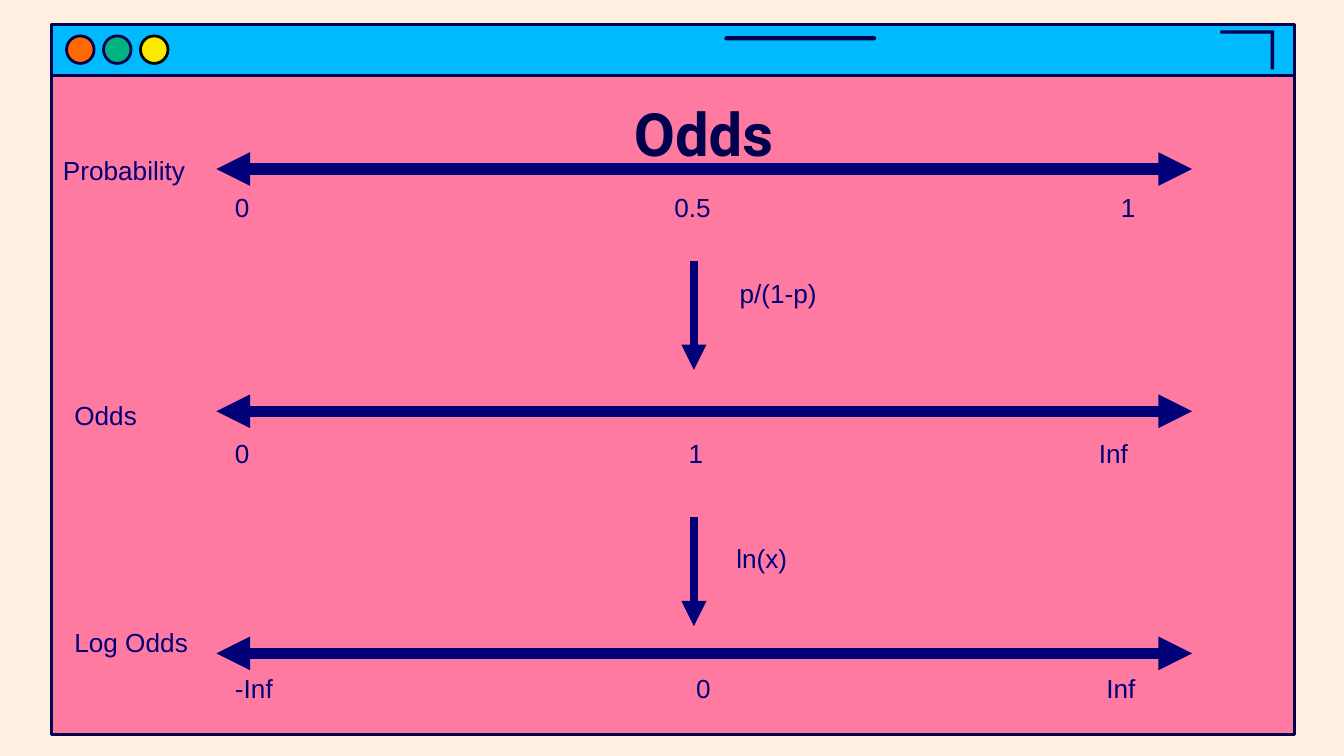
from pptx import Presentation
from pptx.dml.color import RGBColor
from pptx.enum.shapes import MSO_CONNECTOR, MSO_SHAPE
from pptx.enum.text import MSO_ANCHOR, PP_ALIGN
from pptx.oxml.ns import qn
from pptx.util import Inches, Pt
from lxml import etree

RECTANGLE, ROUNDED, OVAL = MSO_SHAPE.RECTANGLE, MSO_SHAPE.ROUNDED_RECTANGLE, MSO_SHAPE.OVAL
STRAIGHT = MSO_CONNECTOR.STRAIGHT
TOP = MSO_ANCHOR.TOP
LEFT, CENTER = PP_ALIGN.LEFT, PP_ALIGN.CENTER

CREAM = RGBColor(0xFF, 0xEF, 0xE1)
PINK = RGBColor(0xFF, 0x7A, 0xA1)
SKY = RGBColor(0x00, 0xB9, 0xFF)
INK = RGBColor(0x00, 0x00, 0x4D)
NAVY = RGBColor(0x00, 0x00, 0x78)
ORANGE = RGBColor(0xFF, 0x6A, 0x00)
GREEN = RGBColor(0x00, 0xB1, 0x81)
YELLOW = RGBColor(0xFA, 0xEA, 0x00)
BLACK = RGBColor(0x00, 0x00, 0x00)

WIDTH = Inches(10)
HEIGHT = WIDTH * 9 // 16
COL, ROW = WIDTH / 100, HEIGHT / 56.25

LABEL = {"name": "Arial", "size": Pt(14), "bold": False}
HEADING = {"name": "Roboto", "size": Pt(32), "bold": True}


def grid(x, y, *size):
    lengths = [round(x * COL), round(y * ROW)]
    if size:
        lengths += [round(size[0] * COL), round(size[1] * ROW)]
    return lengths


def paint(shape, fill, outline=None):
    shape.shadow.inherit = False
    shape.fill.solid()
    shape.fill.fore_color.rgb = fill
    if outline is None:
        shape.line.fill.background()
    else:
        shape.line.color.rgb = outline
        shape.line.width = Pt(1.5)


def add_block(slide, preset, box, fill, outline=None):
    block = slide.shapes.add_shape(preset, *grid(*box))
    paint(block, fill, outline)
    return block


def add_text(slide, box, text, style=LABEL, color=NAVY, align=LEFT, inset=0.05, stops=()):
    frame = slide.shapes.add_textbox(*grid(*box)).text_frame
    margins = {"margin_left": Inches(0.1), "margin_right": Inches(0.1),
               "margin_top": Inches(inset), "margin_bottom": Inches(inset),
               "word_wrap": True, "vertical_anchor": TOP}
    for key, value in margins.items():
        setattr(frame, key, value)
    paragraph = frame.paragraphs[0]
    paragraph.alignment = align
    if stops:
        tabs = etree.SubElement(paragraph._p.get_or_add_pPr(), qn("a:tabLst"))
        for position, kind in stops:
            etree.SubElement(tabs, qn("a:tab"), pos=str(round(position * COL)), algn=kind)
    run = paragraph.add_run()
    run.text = text
    for key, value in style.items():
        setattr(run.font, key, value)
    run.font.color.rgb = color


def add_arrow(slide, start, end, weight, ends):
    arrow = slide.shapes.add_connector(STRAIGHT, *grid(*start), *grid(*end))
    arrow.line.color.rgb = NAVY
    arrow.line.width = Pt(weight)
    outline = arrow.line._get_or_add_ln()
    for end_tag in ends:
        etree.SubElement(outline, qn(end_tag), type="triangle")
    etree.SubElement(arrow._element.spPr, qn("a:effectLst"))


def add_window(slide, box):
    left, top, width, height = box
    add_block(slide, RECTANGLE, box, PINK, INK)
    add_block(slide, RECTANGLE, (left, top, width, 3.8), SKY, INK)

    right, upper, arm, drop, thick = left + width - 1.5, top + 0.45, 4, 2.9, 0.25
    corner = [(right - arm, upper), (right, upper), (right, upper + drop),
              (right - thick, upper + drop), (right - thick, upper + thick),
              (right - arm, upper + thick)]
    points = [grid(*point) for point in corner]
    builder = slide.shapes.build_freeform(*points[0])
    builder.add_line_segments(points[1:], close=True)
    paint(builder.convert_to_shape(), INK)

    handle = add_block(slide, ROUNDED, (left + 50.05, top + 0.9, 11.3, 0.3), INK)
    handle.adjustments[0] = 0.5
    buttons = [(ORANGE, INK), (GREEN, INK), (YELLOW, BLACK)]
    for index, (fill, outline) in enumerate(buttons):
        add_block(slide, OVAL, (left + 1.1 + 2.75 * index, top + 0.87, 2.05, 2.05), fill, outline)


def add_scale(slide, box, name, name_at, marks, middle, last):
    left, top, width, drop = box
    add_arrow(slide, (left, top), (left + width, top), 6, ("a:headEnd", "a:tailEnd"))
    add_text(slide, (left + 0.4, top + drop, 70.1, 3.4), "\t".join(marks),
             stops=((middle, "ctr"), (last, "r")))
    add_text(slide, (*name_at, 15, 3.4), name)


def add_step(slide, box, formula, formula_at):
    left, top, width, height = box
    add_arrow(slide, (left, top), (left, top + height), 4.5, ("a:tailEnd",))
    add_text(slide, (*formula_at, width, 3.4), formula)


def main():
    deck = Presentation()
    deck.slide_width, deck.slide_height = WIDTH, HEIGHT
    slide = deck.slides.add_slide(deck.slide_layouts[6])
    slide.background.fill.solid()
    slide.background.fill.fore_color.rgb = CREAM

    add_window(slide, (3.85, 1.8, 92.45, 52.83))
    add_text(slide, (10.05, 6.2, 84.6, 6.3), "Odds", HEADING, INK, CENTER, 0.1)

    scales = [
        ("Probability", (3.7, 11.03), ("0", "0.5", "1"), 1.2, 34.05, 67),
        ("Odds", (4.55, 29.2), ("0", "1", "Inf"), 1.45, 34.3, 66.45),
        ("Log Odds", (4.55, 46.1), ("-Inf", "0", "Inf"), 0.9, 34.85, 67),
    ]
    for index, (name, name_at, marks, drop, middle, last) in enumerate(scales):
        add_scale(slide, (16.1, 12.58 + 18.02 * index, 72.6, drop),
                  name, name_at, marks, middle, last)

    steps = [("p/(1-p)", (54.05, 20.15)), ("ln(x)", (53.8, 39.87))]
    for index, (formula, formula_at) in enumerate(steps):
        add_step(slide, (51.63, 19.42 + 19.07 * index, 8.9, 8.1), formula, formula_at)

    deck.save("out.pptx")


if __name__ == "__main__":
    main()
